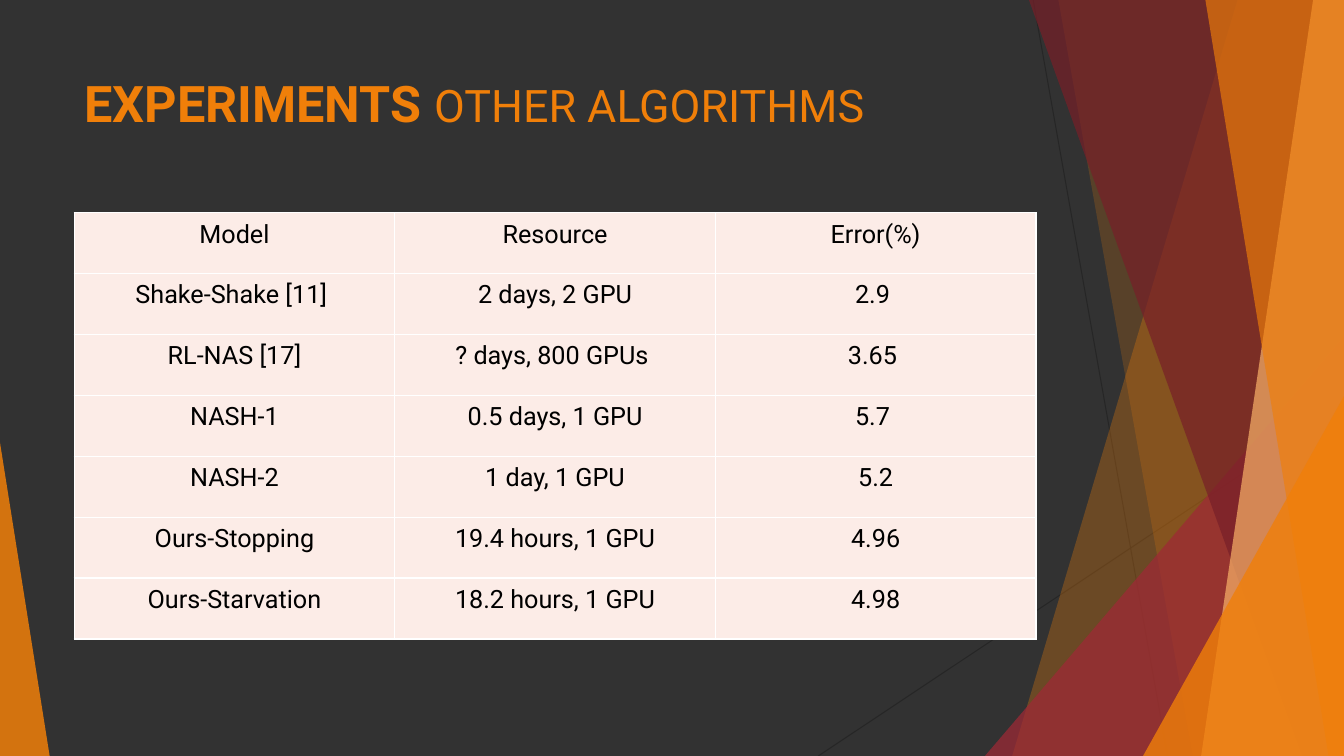
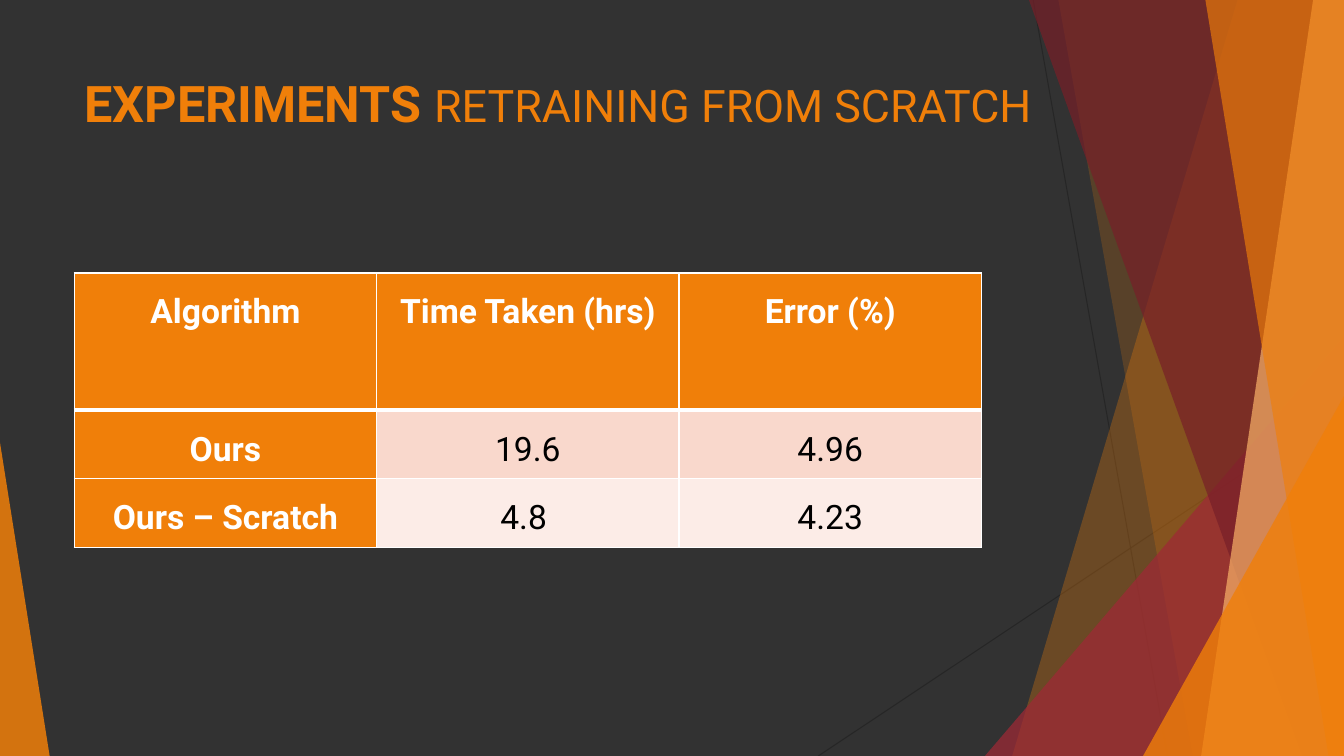
import pptx
import pptx.util
import pptx.dml.color
import pptx.enum.shapes
import pptx.enum.text
import pptx.oxml
import pptx.oxml.ns
import lxml.etree

Pt = pptx.util.Pt
qn = pptx.oxml.ns.qn
W, H = 960, 540
FONT = "Roboto"
ORANGE, RED, MAROON, PEACH = "F07F09", "9F2936", "771F28", "F9B268"
DARK, LINE, WHITE, BLACK = "323232", "262626", "FFFFFF", "000000"
PALE, PINK = "FCECE7", "F9D8CC"


def color(value):
    return pptx.dml.color.RGBColor.from_string(value)


def paint(shape, value, opacity):
    shape.shadow.inherit = False
    shape.line.fill.background()
    shape.fill.solid()
    shape.fill.fore_color.rgb = color(value)
    clr = shape.element.spPr.find(qn("a:solidFill"))[0]
    lxml.etree.SubElement(clr, qn("a:alpha")).set("val", str(opacity * 1000))


strips = [
    ("strip", 884, 723, ORANGE, 30),
    ("strip", 756, 852, ORANGE, 20),
    ("triangle", 703.5, 240, 256.5, 1, RED, 72),
    ("strip", 735, 930, MAROON, 70),
    ("strip", 938, 858, PEACH, 70),
    ("strip", 861, 949, ORANGE, 65),
    ("triangle", 816.5, 283, 143.5, 1, ORANGE, 80),
    ("triangle", 0, 316, 35.5, 0, ORANGE, 85),
]

slides = [
    {
        "title": "OTHER ALGORITHMS",
        "top": 152, "col": 229, "heights": [43.5] * 7,
        "size": 18, "spacing": 1, "insets": (5, 5), "header": False,
        "rows": [
            ["Model", "Resource", "Error(%)"],
            ["Shake-Shake [11] ", "2 days, 2 GPU", "2.9 "],
            ["RL-NAS [17]", "? days, 800 GPUs ", "3.65 "],
            ["NASH-1", "0.5 days, 1 GPU", "5.7 "],
            ["NASH-2", "1 day, 1 GPU", " 5.2 "],
            ["Ours-Stopping", "19.4 hours, 1 GPU", "4.96"],
            ["Ours-Starvation", "18.2 hours, 1 GPU", "4.98"],
        ],
    },
    {
        "title": "RETRAINING FROM SCRATCH",
        "top": 195, "col": 216, "heights": [98, 49, 49],
        "size": 24, "spacing": 1.5, "insets": (10, 0), "header": True,
        "rows": [
            ["Algorithm", "Time Taken (hrs)", "Error (%)"],
            ["Ours", "19.6", "4.96"],
            ["Ours – Scratch", "4.8 ", "4.23"],
        ],
    },
]

prs = pptx.Presentation()
prs.slide_width, prs.slide_height = Pt(W), Pt(H)
bg = prs.slide_master.background.fill
bg.solid()
bg.fore_color.rgb = color(DARK)

layout = prs.slide_layouts[5]
for ph in list(layout.placeholders):
    if ph.placeholder_format.idx == 0:
        ph.left, ph.top, ph.width, ph.height = Pt(53), Pt(48), Pt(795), Pt(104)
    else:
        ph.element.getparent().remove(ph.element)

for number, data in enumerate(slides):
    s = prs.slides.add_slide(layout)

    if number == 0:
        decor = []
        for x1, y1, x2, y2 in [(738, 0, 834, H), (W, 290, 584.5, H)]:
            line = s.shapes.add_connector(
                pptx.enum.shapes.MSO_CONNECTOR.STRAIGHT, Pt(x1), Pt(y1), Pt(x2), Pt(y2))
            line.line.color.rgb = color(LINE)
            line.line.width = Pt(0.75)
            lxml.etree.SubElement(line.element.spPr, qn("a:effectLst"))
            decor.append(line)
        for kind, *geometry, fill, opacity in strips:
            if kind == "strip":
                upper, lower = geometry
                fb = s.shapes.build_freeform(Pt(upper), 0)
                fb.add_line_segments([(Pt(W), 0), (Pt(W), Pt(H)), (Pt(lower), Pt(H))])
                sp = fb.convert_to_shape()
            else:
                left, top, width, apex = geometry
                sp = s.shapes.add_shape(
                    pptx.enum.shapes.MSO_SHAPE.ISOSCELES_TRIANGLE,
                    Pt(left), Pt(top), Pt(width), Pt(H - top))
                sp.adjustments[0] = apex
            paint(sp, fill, opacity)
            decor.append(sp)
        for sp in decor:
            layout.shapes.element.append(sp.element)

    tf = s.shapes.title.text_frame
    tf.word_wrap = True
    tf.auto_size = pptx.enum.text.MSO_AUTO_SIZE.NONE
    tf.vertical_anchor = pptx.enum.text.MSO_ANCHOR.TOP
    p = tf.paragraphs[0]
    p.alignment = pptx.enum.text.PP_ALIGN.LEFT
    p.font.name = FONT
    p.font.color.rgb = color(ORANGE)
    for text, size, bold in [("EXPERIMENTS ", 36, True), (data["title"], 32, False)]:
        r = p.add_run()
        r.text = text
        r.font.size = Pt(size)
        r.font.bold = bold
        r.font.name = FONT
        r.font.color.rgb = color(ORANGE)

    rows, header = data["rows"], data["header"]
    tbl = s.shapes.add_table(
        len(rows), 3, Pt(53), Pt(data["top"]),
        Pt(3 * data["col"]), Pt(sum(data["heights"]))).table
    tbl.first_row = tbl.first_col = header
    tbl.horz_banding = False
    for col in tbl.columns:
        col.width = Pt(data["col"])
    side, upright = data["insets"]
    for i, values in enumerate(rows):
        tbl.rows[i].height = Pt(data["heights"][i])
        for j, value in enumerate(values):
            strong = header and (i == 0 or j == 0)
            cell = tbl.cell(i, j)
            cell.margin_left = cell.margin_right = Pt(side)
            cell.margin_top = cell.margin_bottom = Pt(upright)
            tcPr = cell._tc.get_or_add_tcPr()
            for edge in ("L", "R", "T", "B"):
                thick = header and (i, edge) in [(0, "B"), (1, "T")]
                ln = lxml.etree.SubElement(tcPr, qn("a:ln" + edge))
                ln.set("w", str(Pt(3 if thick else 1)))
                solid = lxml.etree.SubElement(ln, qn("a:solidFill"))
                lxml.etree.SubElement(solid, qn("a:srgbClr")).set("val", WHITE)
            cell.fill.solid()
            cell.fill.fore_color.rgb = color(
                ORANGE if strong else PINK if header and i == 1 else PALE)
            p = cell.text_frame.paragraphs[0]
            p.text = value
            p.alignment = pptx.enum.text.PP_ALIGN.CENTER
            p.line_spacing = float(data["spacing"])
            p.font.name = FONT
            p.font.size = Pt(data["size"])
            p.font.bold = strong
            p.font.color.rgb = color(WHITE if strong else BLACK)

prs.save("out.pptx")
